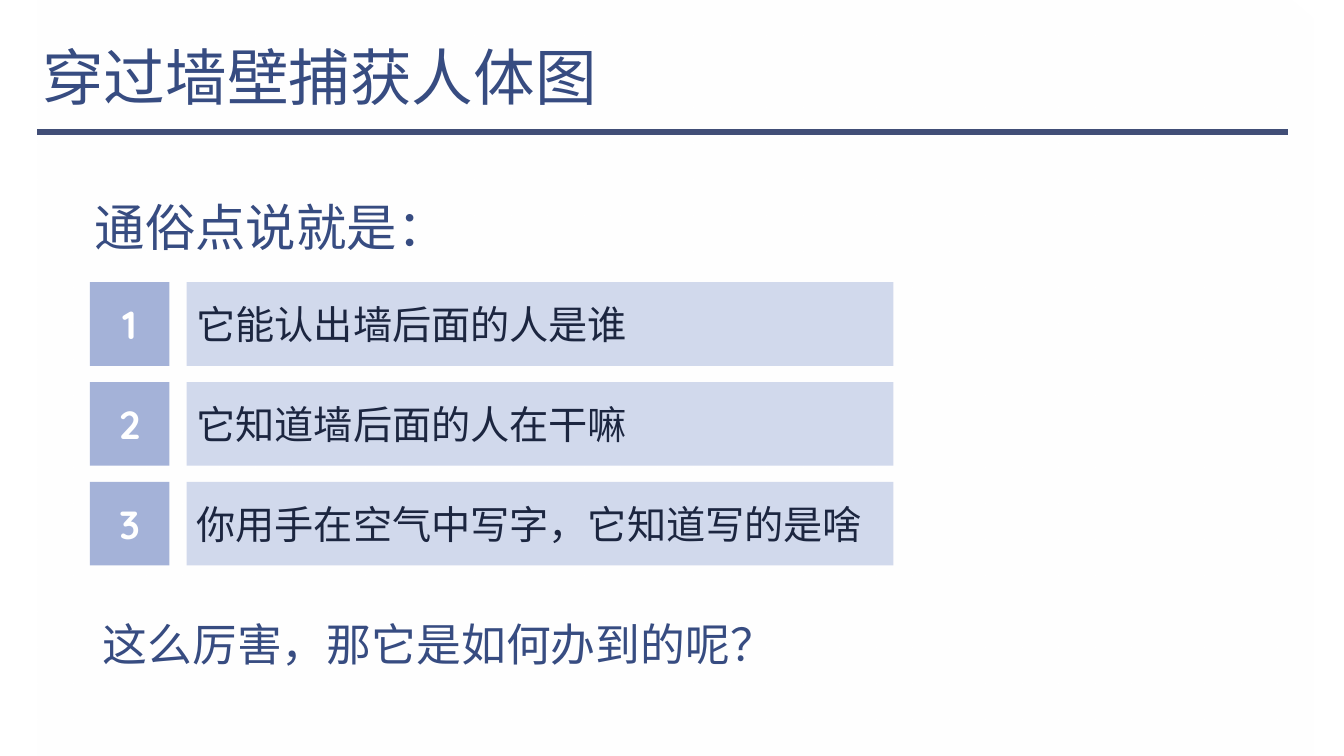
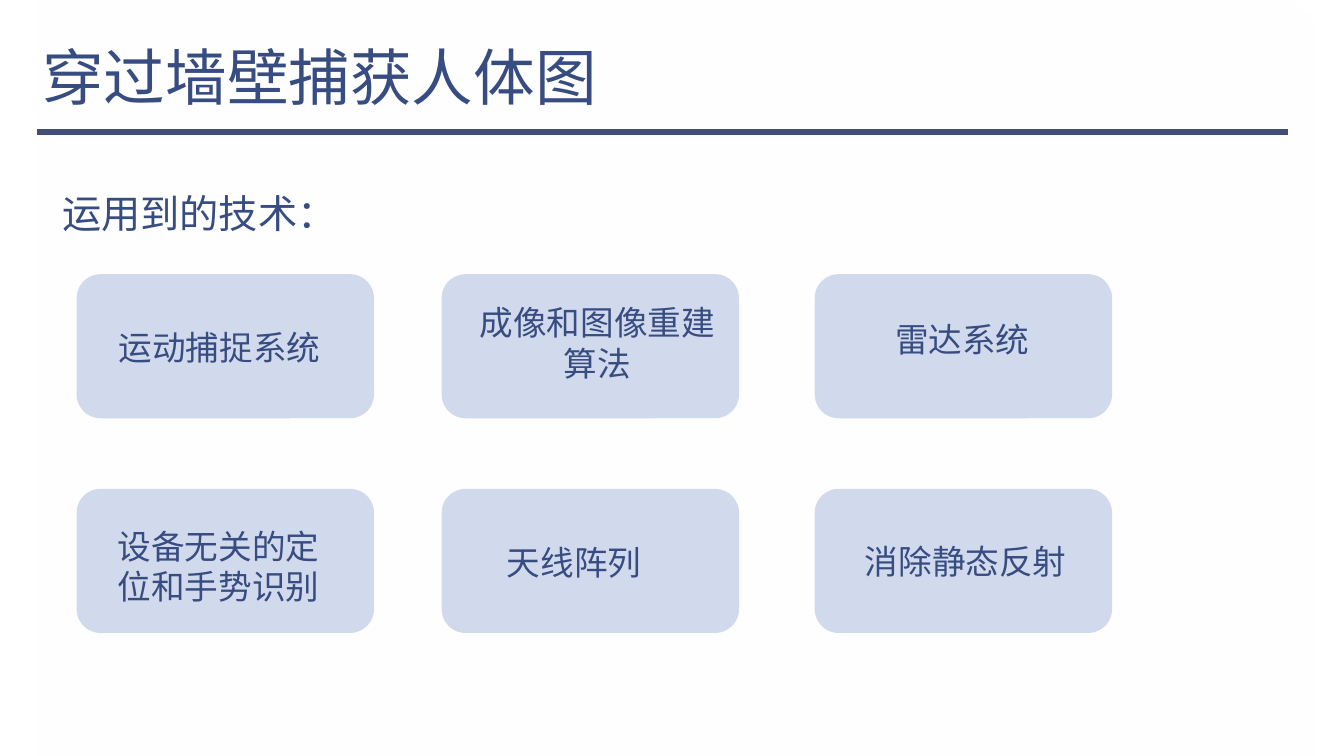
"""Build two slides on sensing human figures through walls."""
from dataclasses import dataclass

from lxml import etree
from pptx import Presentation
from pptx.dml.color import RGBColor
from pptx.enum.shapes import MSO_CONNECTOR, MSO_SHAPE
from pptx.enum.text import MSO_ANCHOR, MSO_AUTO_SIZE, PP_ALIGN
from pptx.oxml.ns import qn
from pptx.util import Inches, Pt

RECT, ROUND = MSO_SHAPE.RECTANGLE, MSO_SHAPE.ROUNDED_RECTANGLE
STRAIGHT = MSO_CONNECTOR.STRAIGHT
LEFT, CENTER = PP_ALIGN.LEFT, PP_ALIGN.CENTER
MIDDLE, BOTTOM = MSO_ANCHOR.MIDDLE, MSO_ANCHOR.BOTTOM
FIT = MSO_AUTO_SIZE.SHAPE_TO_FIT_TEXT


@dataclass(frozen=True)
class Theme:
    white: str = "FFFFFF"
    rule: str = "414E77"
    ink: str = "374C81"
    dark: str = "1C2640"
    badge: str = "A4B2D8"
    pale: str = "D1D9EC"
    cjk: str = "Noto Sans CJK SC"
    latin: str = "Quicksand"
    title: int = 44
    heading: int = 36
    question: int = 32
    body: int = 28
    card: int = 24


T = Theme()
TITLE = "穿过墙壁捕获人体图"
INTRO = "通俗点说就是："
ABILITIES = ["它能认出墙后面的人是谁", "它知道墙后面的人在干嘛", "你用手在空气中写字，它知道写的是啥"]
QUESTION = "这么厉害，那它是如何办到的呢？"
TECH_HEADING = "运用到的技术："
# Each card: text, label offset x, offset y, label width, alignment
CARDS = [
    ("运动捕捉系统", 0.32, 0.47, 2.34, LEFT),
    ("成像和图像重建算法", 0.16, 0.23, 2.77, CENTER),
    ("雷达系统", 0.08, 0.39, 2.77, CENTER),
    ("设备无关的定位和手势识别", 0.31, 0.32, 2.34, LEFT),
    ("天线阵列", 0.55, 0.48, 2.34, LEFT),
    ("消除静态反射", 0.4, 0.47, 2.34, LEFT),
]
CARD_COLUMNS, CARD_ROWS, CARD_SIZE = (0.76, 4.38, 8.08), (2.72, 4.85), (2.95, 1.43)
LIST_TOP, LIST_PITCH, LIST_HEIGHT = 2.8, 0.99, 0.83


def color(value):
    return RGBColor.from_string(value)


def inches(box):
    return [Inches(v) for v in box]


def write(shape, text, size, ink, font=T.cjk, align=LEFT, bold=False, spacing=1.0):
    p = shape.text_frame.paragraphs[0]
    p.text, p.alignment, p.line_spacing = text, align, spacing
    r = p.runs[0]
    r.font.size, r.font.name, r.font.bold = Pt(size), font, bold
    r.font.color.rgb = color(ink)
    ea = etree.SubElement(r.font._element, qn("a:ea"))
    ea.set("typeface", T.cjk)


def add_box(parent, kind, box, fill):
    sp = parent.shapes.add_shape(kind, *inches(box))
    sp.shadow.inherit = False
    sp.fill.solid()
    sp.fill.fore_color.rgb = color(fill)
    sp.line.fill.background()
    sp.text_frame.vertical_anchor = MIDDLE
    sp.text_frame.word_wrap = True
    return sp


def add_label(parent, box, text, size, wrap=True, **style):
    sp = parent.shapes.add_textbox(*inches(box))
    tf = sp.text_frame
    tf.word_wrap, tf.auto_size = wrap, FIT
    write(sp, text, size, T.ink, **style)
    return sp


def add_panel(s):
    sp = add_box(s, RECT, (0.37, 0, 12.66, 7.5), T.white)
    sp.fill.gradient()
    sp.fill.gradient_angle = 230
    for stop in sp.fill.gradient_stops:
        stop.color.rgb = color(T.white)
    for node, alpha in zip(sp._element.spPr.iter(qn("a:srgbClr")), (0, 55)):
        etree.SubElement(node, qn("a:alpha")).set("val", str(alpha * 1000))


def add_slide(prs):
    s = prs.slides.add_slide(prs.slide_layouts[6])
    add_panel(s)
    rule = s.shapes.add_connector(STRAIGHT, *inches((0.37, 1.31, 12.77, 1.31)))
    rule.line.color.rgb = color(T.rule)
    rule.line.width = Pt(4.5)
    etree.SubElement(rule._element.spPr, qn("a:effectLst"))
    title = add_label(s, (0.29, -0.34, 11.11, 1.53), TITLE, T.title, spacing=0.85)
    tf = title.text_frame
    tf.auto_size, tf.vertical_anchor = MSO_AUTO_SIZE.NONE, BOTTOM
    tf.margin_left = tf.margin_right = Inches(0.13)
    tf.margin_top = tf.margin_bottom = Inches(0.07)
    return s


def build_abilities(prs):
    s = add_slide(prs)
    heading = dict(wrap=False, font=T.latin, spacing=0.95)
    add_label(s, (0.84, 1.94, 3.7, 0.67), INTRO, T.heading, **heading)
    for i, text in enumerate(ABILITIES):
        top = LIST_TOP + i * LIST_PITCH
        badge = add_box(s, RECT, (0.89, top, 0.79, LIST_HEIGHT), T.badge)
        write(badge, str(i + 1), T.body, T.white, T.latin, CENTER, bold=True)
        bar = add_box(s, RECT, (1.85, top, 7.01, LIST_HEIGHT), T.pale)
        write(bar, text, T.body, T.dark)
    add_label(s, (0.92, 6.11, 6.87, 0.61), QUESTION, T.question, **heading)


def build_technologies(prs):
    s = add_slide(prs)
    add_label(s, (0.52, 1.86, 3.23, 0.54), TECH_HEADING, T.body, font=T.latin, spacing=0.95)
    for i, (text, dx, dy, width, align) in enumerate(CARDS):
        row, column = divmod(i, len(CARD_COLUMNS))
        left, top = CARD_COLUMNS[column], CARD_ROWS[row]
        card = s.shapes.add_group_shape()
        add_box(card, ROUND, (left, top, *CARD_SIZE), T.pale)
        height = 0.93 if len(text) > 7 else 0.53
        add_label(card, (left + dx, top + dy, width, height), text, T.card, align=align)


def main():
    prs = Presentation()
    prs.slide_width, prs.slide_height = inches((13.33, 7.5))
    build_abilities(prs)
    build_technologies(prs)
    prs.save("out.pptx")


main()
